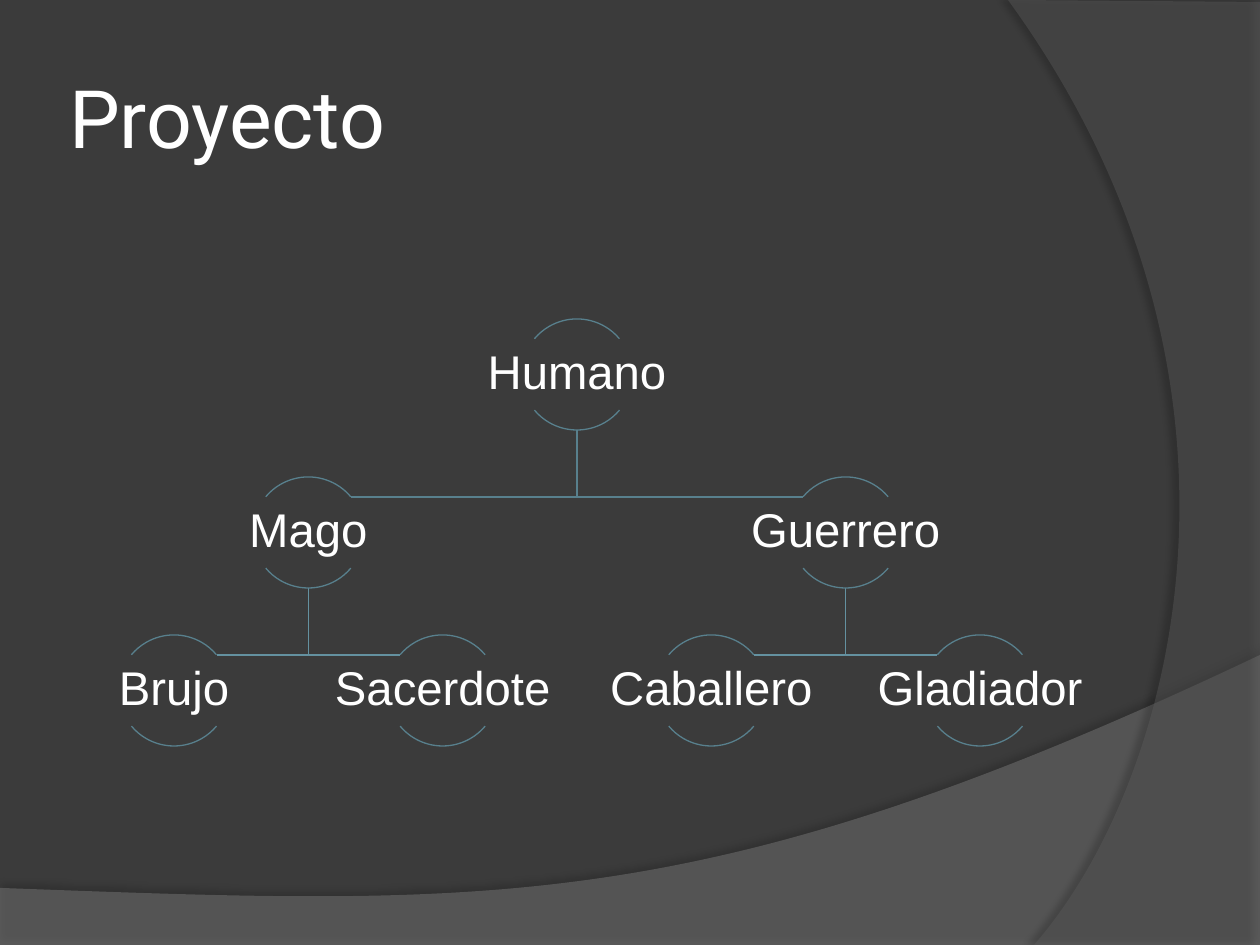
from pptx import Presentation
from pptx.dml.color import RGBColor as RGB
from pptx.enum.shapes import MSO_SHAPE as Kind
from pptx.enum.text import MSO_ANCHOR as Anchor, PP_ALIGN as Align
from pptx.oxml import parse_xml
from pptx.oxml.ns import nsdecls
from pptx.util import Pt

SCALE = 914400 / 126
WIDE, HIGH = 1260, 945
SIZE, STEP, INSET, HALF = 111, 158, 20, 43
TOP, LEFT, SPAN = 319, 174, 806
TREE = ("Humano", [
    ("Mago", [("Brujo", []), ("Sacerdote", [])]),
    ("Guerrero", [("Caballero", []), ("Gladiador", [])]),
])


def emu(px):
    return round(px * SCALE)


def hue(code):
    return RGB.from_string(code)


def put(item, form):
    for key, val in form.items():
        setattr(item, key, val)


class Deck:
    """Hold the style and the current slide."""

    title = {"name": "Roboto", "size": Pt(46)}
    label = {"name": "Arial", "size": Pt(27)}
    ink, ring, branch = "FFFFFF", "58808D", "6491A0"

    def __init__(self):
        self.show = Presentation()
        put(self.show, {"slide_width": emu(WIDE), "slide_height": emu(HIGH)})
        self.slide = self.show.slides.add_slide(self.show.slide_layouts[6])
        self.shapes = self.slide.shapes

    def ground(self, code):
        fill = self.slide.background.fill
        fill.solid()
        fill.fore_color.rgb = hue(code)

    def free(self, points, close):
        dots = [(emu(x), emu(y)) for x, y in points]
        pen = self.shapes.build_freeform(*dots[0], scale=1.0)
        pen.add_line_segments(dots[1:], close=close)
        return pen.convert_to_shape()

    def bend(self, shape, points):
        line = shape._element.spPr.find(".//{*}lnTo")
        dots = "".join(
            f'<a:pt x="{emu(x) - shape.left}" y="{emu(y) - shape.top}"/>'
            for x, y in points)
        line.getparent().replace(line, parse_xml(
            f'<a:cubicBezTo {nsdecls("a")}>{dots}</a:cubicBezTo>'))

    def stroke(self, shape, code):
        shape.shadow.inherit = False
        shape.fill.background()
        shape.line.color.rgb = hue(code)
        shape.line.width = Pt(0.75)

    def wave(self, curve, rest, code, alpha, shade, gap, turn):
        shape = self.free([curve[0], curve[3], *rest], True)
        self.bend(shape, curve[1:])
        shape.fill.solid()
        shape.fill.fore_color.rgb = hue(code)
        shape.line.fill.background()
        shape.shadow.inherit = False
        props = shape._element.spPr
        props.find(".//{*}srgbClr").append(
            parse_xml(f'<a:alpha {nsdecls("a")} val="{alpha * 1000}"/>'))
        props.find("{*}effectLst").append(parse_xml(
            f'<a:outerShdw {nsdecls("a")} blurRad="{Pt(4)}" dist="{Pt(gap)}" '
            f'dir="{turn * 60000}" algn="ctr" rotWithShape="0">'
            f'<a:srgbClr val="000000"><a:alpha val="{shade * 1000}"/>'
            '</a:srgbClr></a:outerShdw>'))

    def text(self, words, box, font, pad, form):
        frame = self.shapes.add_textbox(*map(emu, box)).text_frame
        put(frame, {"word_wrap": True, "vertical_anchor": Anchor.MIDDLE})
        put(frame, {f"margin_{side}": emu(pad)
                    for side in ("left", "right", "top", "bottom")})
        para = frame.paragraphs[0]
        para.text = words
        put(para, form)
        put(para.runs[0].font, font)
        para.runs[0].font.color.rgb = hue(self.ink)

    def elbow(self, start, end, code):
        self.stroke(self.free([start, (start[0], end[1]), end], False), code)

    def node(self, name, mid, top):
        for ends in ((132, 192), (24, 84)):
            box = (mid - SIZE / 2, top, SIZE, SIZE)
            arc = self.shapes.add_shape(Kind.ARC, *map(emu, box))
            arc.adjustments[0], arc.adjustments[1] = ends
            self.stroke(arc, self.ring)
        self.text(name, (mid - SIZE, top + INSET, 2 * SIZE, 70), self.label, 2,
                  {"alignment": Align.CENTER, "line_spacing": 0.9})


def place(tree, slots, level=0):
    """Return name, middle, level and placed children, centred over leaves."""
    name, kids = tree
    below = [place(kid, slots, level + 1) for kid in kids]
    mid = (below[0][1] + below[-1][1]) / 2 if below else next(slots)
    return name, mid, level, below


def walk(node):
    yield node
    for kid in node[3]:
        yield from walk(kid)


def main():
    deck = Deck()
    deck.ground("3B3B3B")
    deck.wave([(WIDE, 655), (704, 919), (493, 906), (0, 888)],
              [(0, HIGH), (WIDE, HIGH)], "7F7F7F", 45, 35, 3.5, 270)
    deck.wave([(1034, HIGH), (1178, 780), (1283, 378), (1008, 0)],
              [(WIDE, 2), (WIDE, HIGH)], "5E5E5E", 40, 45, 4, 180)
    deck.text("Proyecto", (63, 38, 1029, 157), deck.title, 6, {})
    slots = (LEFT + SPAN * i / 3 for i in range(4))
    nodes = list(walk(place(TREE, slots)))
    for _, mid, level, kids in nodes:
        top = TOP + STEP * level
        for kid in kids:
            side = HALF if kid[1] < mid else -HALF
            deck.elbow((mid, top + SIZE), (kid[1] + side, top + STEP + INSET),
                       deck.branch if level else deck.ring)
    for name, mid, level, _ in nodes:
        deck.node(name, mid, TOP + STEP * level)
    deck.show.save("out.pptx")


if __name__ == "__main__":
    main()
